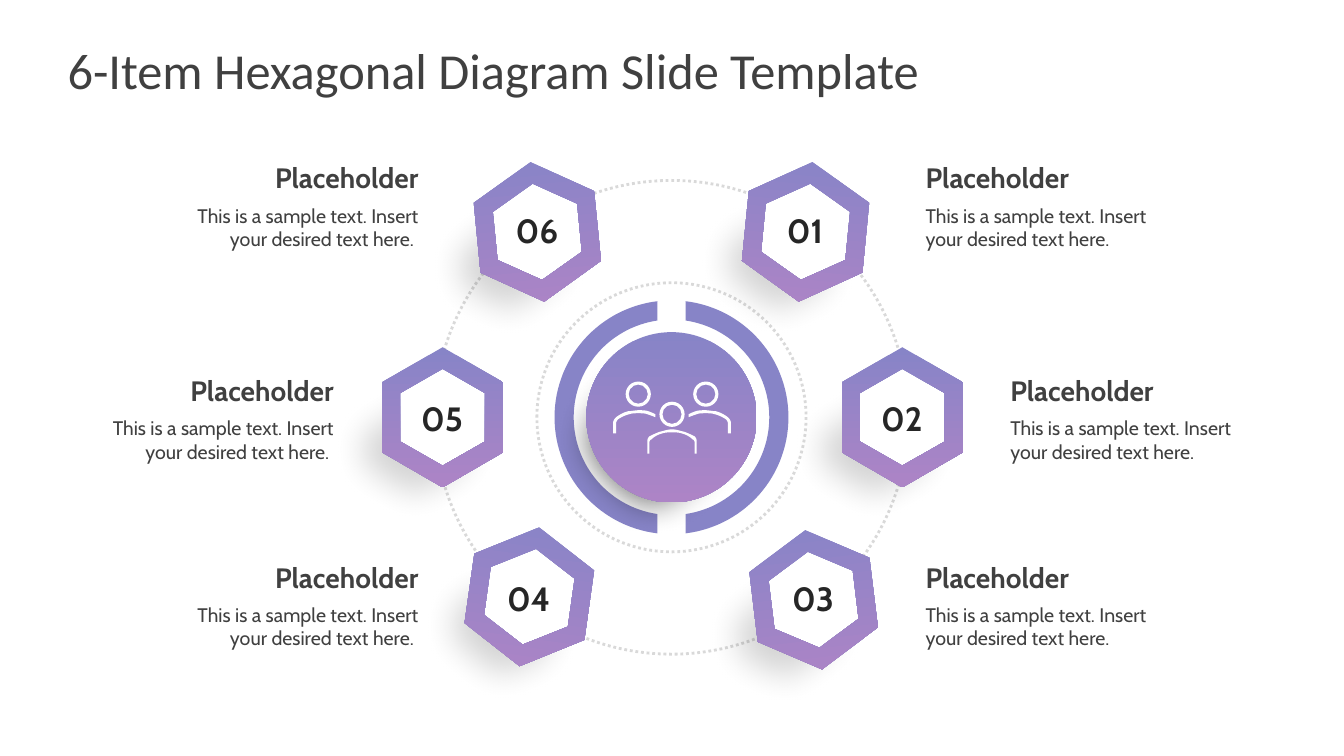
from dataclasses import dataclass
from math import acos, cos, pi, sin

from lxml import etree
from pptx import Presentation
from pptx.dml.color import RGBColor as Rgb
from pptx.enum.dml import MSO_LINE
from pptx.enum.shapes import MSO_SHAPE as Preset
from pptx.enum.text import MSO_ANCHOR as Anchor, PP_ALIGN as Align
from pptx.oxml.ns import qn
from pptx.util import Inches, Pt


@dataclass(frozen=True)
class Theme:
    violet: str = "8784C7"
    orchid: str = "AD84C6"
    white: str = "FFFFFF"
    black: str = "000000"
    dots: str = "D9D9D9"
    ink: str = "404040"
    number: str = "262626"
    title_font: str = "Calibri"
    body_font: str = "Cabin"
    title_size: int = 36
    number_size: int = 24
    heading_size: int = 20
    body_size: int = 14
    soft_edge: int = 25


THEME = Theme()
WIDTH, HEIGHT = 13.33, 7.5
CENTER = (6.66, 4.14)
SAMPLE = "This is a sample text. Insert your desired text here."

# number, hexagon centre, turn in degrees, number top, heading top, distance of label from side edge
ITEMS = [
    ("01", (7.99, 2.3), 5.6, 2.03, 1.55, 1.83),
    ("02", (8.95, 4.14), 0, 3.9, 3.66, 0.99),
    ("03", (8.07, 5.95), -6.9, 5.68, 5.51, 1.83),
    ("04", (5.25, 5.92), 8, 5.68, 5.51, 1.83),
    ("05", (4.39, 4.14), 0, 3.9, 3.66, 0.99),
    ("06", (5.33, 2.3), -5.6, 2.03, 1.55, 1.83),
]

# Icon outlines in inches: pairs are corners, sextuples are cubic curves
SIDE_BODY = [
    (1.14, .35), (1.10, .32, 1.06, .30, 1.02, .29), (.99, .29, .95, .28, .92, .28),
    (.88, .28, .85, .28, .82, .29), (.79, .30, .77, .31, .75, .32), (.75, .35),
    (.77, .34, .80, .33, .83, .32), (.85, .31, .89, .31, .92, .31),
    (.95, .31, .98, .31, 1.01, .32), (1.05, .33, 1.09, .35, 1.12, .37),
    (1.13, .38, 1.14, .40, 1.14, .41), (1.14, .51), (1.17, .51), (1.17, .41),
    (1.17, .39, 1.16, .37, 1.14, .35),
]
FRONT_HALF = [
    (.585, .47), (.62, .47, .65, .48, .69, .49), (.73, .50, .77, .52, .81, .54),
    (.83, .56, .83, .58, .83, .60), (.83, .71), (.81, .71), (.81, .60),
    (.81, .59, .80, .57, .79, .57), (.76, .54, .72, .52, .68, .51),
    (.65, .50, .62, .50, .585, .50),
]


def paint(shape, color, opacity=100):
    shape.shadow.inherit = False
    shape.line.fill.background()
    shape.fill.solid()
    shape.fill.fore_color.rgb = Rgb.from_string(color)
    if opacity < 100:
        tint = shape._element.spPr.find(qn("a:solidFill"))[0]
        etree.SubElement(tint, qn("a:alpha"), val=str(opacity * 1000))


def paint_gradient(shape):
    shape.shadow.inherit = False
    shape.line.fill.background()
    shape.fill.gradient()
    shape.fill.gradient_angle = 270
    for stop, color in zip(shape.fill.gradient_stops, (THEME.violet, THEME.orchid)):
        stop.color.rgb = Rgb.from_string(color)


def soften(shape, opacity):
    """Turn the shape into a blurred black shadow."""
    paint(shape, THEME.black, opacity)
    effects = shape._element.spPr.find(qn("a:effectLst"))
    etree.SubElement(effects, qn("a:softEdge"), rad=str(Pt(THEME.soft_edge)))


def add_outline(page, *contours):
    """Add one closed freeform from contours of points in inches."""
    scaled = [[(Inches(x), Inches(y)) for x, y in contour] for contour in contours]
    builder = page.shapes.build_freeform(*scaled[0][0])
    for index, points in enumerate(scaled):
        if index:
            builder.move_to(*points[0])
        builder.add_line_segments(points[1:], close=True)
    return builder.convert_to_shape()


def add_circle(page, center, size, preset=Preset.OVAL):
    left, top = (value - size / 2 for value in center)
    return page.shapes.add_shape(preset, *map(Inches, (left, top, size, size)))


def add_text(page, box, text, size, color, font=THEME.body_font, bold=False,
             align=Align.LEFT, anchor=Anchor.TOP, inset=0):
    frame = page.shapes.add_textbox(*map(Inches, box)).text_frame
    frame.word_wrap = True
    frame.vertical_anchor = anchor
    frame.margin_left = frame.margin_right = 0
    frame.margin_top = frame.margin_bottom = Inches(inset)
    para = frame.paragraphs[0]
    para.alignment = align
    run = para.add_run()
    run.text = text
    run.font.name, run.font.size, run.font.bold = font, Pt(size), bold
    run.font.color.rgb = Rgb.from_string(color)


def hexagon(center, width, height):
    x, y = center
    side, quarter = width / 2, height / 4
    return [(x, y - 2 * quarter), (x + side, y - quarter), (x + side, y + quarter),
            (x, y + 2 * quarter), (x - side, y + quarter), (x - side, y - quarter)]


def flatten(outline, steps=8):
    """Turn corners and cubic curves into a list of points."""
    points = [outline[0]]
    for piece in outline[1:]:
        if len(piece) == 2:
            points.append(piece)
            continue
        knots = [points[-1], piece[:2], piece[2:4], piece[4:]]
        for step in range(1, steps + 1):
            t = step / steps
            weights = ((1 - t) ** 3, 3 * t * (1 - t) ** 2, 3 * t * t * (1 - t), t ** 3)
            points.append(tuple(sum(w * knot[axis] for w, knot in zip(weights, knots))
                                for axis in (0, 1)))
    return points


def add_orbits(page):
    for size in (4.7, 2.67):
        orbit = add_circle(page, CENTER, size)
        orbit.shadow.inherit = False
        orbit.fill.background()
        orbit.line.color.rgb = Rgb.from_string(THEME.dots)
        orbit.line.width = Pt(2)
        orbit.line.dash_style = MSO_LINE.ROUND_DOT


def add_split_ring(page, outer=1.16, inner=0.97, half_gap=0.14, steps=60):
    """Add two half rings, cut straight along a vertical gap."""
    def arc(radius, side):
        limit = acos(half_gap / radius)
        angles = [limit * (2 * step / steps - 1) for step in range(steps + 1)]
        return [(CENTER[0] + side * radius * cos(angle), CENTER[1] + radius * sin(angle))
                for angle in angles]

    for side in (-1, 1):
        paint(add_outline(page, arc(outer, side) + arc(inner, side)[::-1]), THEME.violet)


def add_shadows(page):
    soften(add_circle(page, (6.46, 4.36), 2.1), 61)
    for _, (x, y), turn, *_ in ITEMS:
        shadow = add_outline(page, hexagon((x - 0.27, y + 0.32), 1.71, 1.98))
        shadow.rotation = turn
        soften(shadow, 18)


def add_hexagon(page, number, center, turn, number_top):
    core = add_outline(page, hexagon(center, 1.02, 1.18))
    paint(core, THEME.white)
    rim = add_outline(page, hexagon(center, 1.2, 1.39), hexagon(center, 0.84, 0.96)[::-1])
    paint_gradient(rim)
    core.rotation = rim.rotation = turn
    add_text(page, (center[0] - 0.29, number_top, 0.57, 0.5), number, THEME.number_size,
             THEME.number, bold=True, align=Align.CENTER, anchor=Anchor.MIDDLE)


def add_label(page, top, margin, on_right, width=2.32):
    left = WIDTH - margin - width if on_right else margin
    align = Align.LEFT if on_right else Align.RIGHT
    add_text(page, (left, top, width, 0.38), "Placeholder", THEME.heading_size, THEME.ink,
             bold=True, align=align, anchor=Anchor.BOTTOM)
    add_text(page, (left, top + 0.47, width, 0.53), SAMPLE if on_right else SAMPLE + " ",
             THEME.body_size, THEME.ink, align=align)


def add_people_icon(page, left, top, width=1.17):
    def mirror(points):
        return [(width - x, y) for x, y in points]

    side, half = flatten(SIDE_BODY), flatten(FRONT_HALF)
    for body in (side, mirror(side), half + mirror(half)[::-1]):
        paint(add_outline(page, [(left + x, top + y) for x, y in body]), THEME.white)
    for x, y in ((0.25, 0.12), (0.92, 0.12), (0.585, 0.32)):
        head = add_circle(page, (left + x, top + y), 0.25, Preset.DONUT)
        head.adjustments[0] = 0.12
        paint(head, THEME.white)


def build_hexagon_page(deck):
    page = deck.slides.add_slide(deck.slide_layouts[6])
    add_text(page, (0.67, 0.3, 12, 0.78), "6-Item Hexagonal Diagram Slide Template",
             THEME.title_size, THEME.ink, THEME.title_font, anchor=Anchor.MIDDLE, inset=0.07)
    add_orbits(page)
    add_split_ring(page)
    add_shadows(page)
    paint_gradient(add_circle(page, CENTER, 1.69))
    for number, center, turn, number_top, label_top, margin in ITEMS:
        add_hexagon(page, number, center, turn, number_top)
        add_label(page, label_top, margin, on_right=center[0] > CENTER[0])
    add_people_icon(page, 6.08, 3.79)


def main():
    deck = Presentation()
    deck.slide_width, deck.slide_height = Inches(WIDTH), Inches(HEIGHT)
    build_hexagon_page(deck)
    deck.save("out.pptx")


if __name__ == "__main__":
    main()
